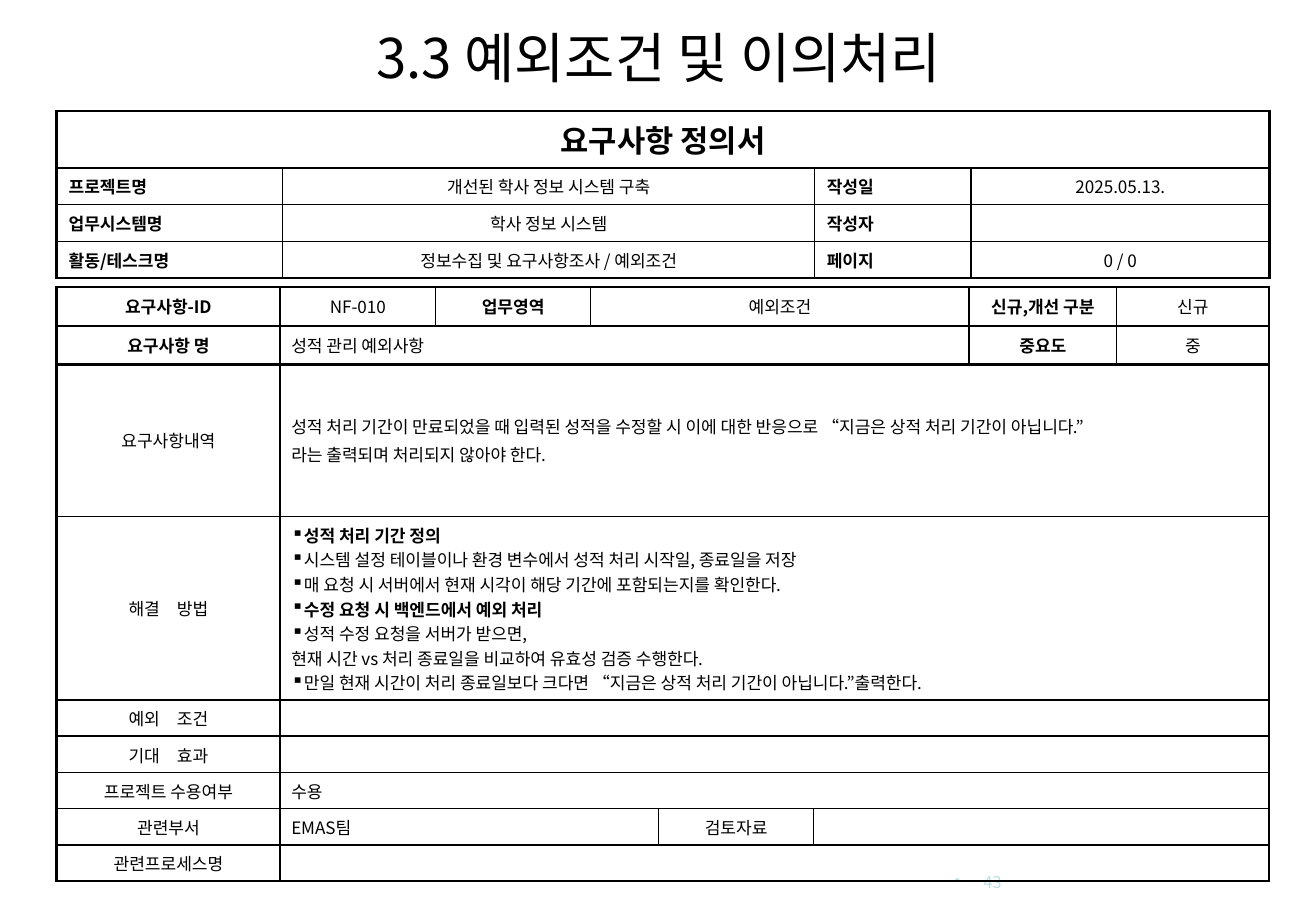
import dataclasses

import lxml.etree
import pptx
import pptx.dml.color
import pptx.enum.text
import pptx.oxml.ns
import pptx.util

Cm = pptx.util.Cm
Pt = pptx.util.Pt
ALIGN = pptx.enum.text.PP_ALIGN
MIDDLE = pptx.enum.text.MSO_ANCHOR.MIDDLE
TOP = pptx.enum.text.MSO_ANCHOR.TOP
FONT = "Noto Sans CJK KR"
BLACK = "000000"
BODY_SIZE = 10


@dataclasses.dataclass
class Entry:
    """One table cell; a list of (text, bold) pairs makes a bulleted cell."""
    text: object = ""
    span: int = 1
    bold: bool = False
    align: object = ALIGN.CENTER
    size: float = BODY_SIZE


def label(text, span=1):
    return Entry(text, span, bold=True)


def left(text, span):
    return Entry(text, span, align=ALIGN.LEFT)


def field(text):
    return Entry(text, bold=True, align=ALIGN.JUSTIFY)


def rgb(color):
    return pptx.dml.color.RGBColor.from_string(color)


def add_child(parent, tag, **attributes):
    child = lxml.etree.SubElement(parent, pptx.oxml.ns.qn(tag))
    for name, value in attributes.items():
        child.set(name, str(value))
    return child


def write(paragraph, text, *, size=BODY_SIZE, bold=False, color=BLACK,
          align=ALIGN.LEFT, before=0, bullet=None, hanging=0):
    paragraph.alignment = align
    paragraph.space_before = Pt(before)
    if bullet:
        properties = paragraph._p.get_or_add_pPr()
        properties.set("marL", str(hanging))
        properties.set("indent", str(-hanging))
        add_child(properties, "a:buChar", char=bullet)
    for index, line in enumerate(text.split("\n")):
        if index:
            paragraph.add_line_break()
        run = paragraph.add_run()
        run.text = line
        run.font.size = Pt(size)
        run.font.bold = bold
        run.font.name = FONT
        run.font.color.rgb = rgb(color)
        add_child(run._r.get_or_add_rPr(), "a:ea", typeface=FONT)


def set_borders(cell, widths):
    """Draw the left, right, top and bottom borders, widths in points."""
    properties = cell._tc.get_or_add_tcPr()
    for side, width in zip("LRTB", widths):
        line = add_child(properties, f"a:ln{side}", w=Pt(width))
        add_child(add_child(line, "a:solidFill"), "a:srgbClr", val=BLACK)


def fill_cell(cell, entry):
    frame = cell.text_frame
    if isinstance(entry.text, list):
        lines, before, bullet = entry.text, 0, "▪"
    else:
        lines = [(text, entry.bold) for text in entry.text.splitlines()]
        before, bullet = entry.size * 0.2, None
    for index, (text, bold) in enumerate(lines):
        paragraph = frame.add_paragraph() if index else frame.paragraphs[0]
        write(paragraph, text, size=entry.size, bold=bold, align=entry.align,
              before=before, bullet=bullet)


def add_grid(slide, x, y, widths, heights, rows, *, thick_rows, anchors, margin):
    """Place a table; thick_rows numbers the heavy horizontal lines."""
    shape = slide.shapes.add_table(len(heights), len(widths), Cm(x), Cm(y),
                                   Cm(sum(widths)), Cm(sum(heights)))
    table = shape.table
    table.first_row = table.horz_banding = False
    for column, width in zip(table.columns, widths):
        column.width = Cm(width)
    for row, height in zip(table.rows, heights):
        row.height = Cm(height)

    for r, entries in enumerate(rows):
        start = 0
        for entry in entries:
            end = start + entry.span
            borders = [1.5 if heavy else 1 for heavy in (
                start == 0, end == len(widths), r in thick_rows, r + 1 in thick_rows)]
            for c in range(start, end):
                cell = table.cell(r, c)
                set_borders(cell, borders)
                cell.fill.background()
                cell.vertical_anchor = anchors[r]
                cell.margin_left = cell.margin_right = Cm(margin)
                cell.margin_top = cell.margin_bottom = Cm(0.13)
                if c > start or not entry.text:
                    add_child(cell.text_frame.paragraphs[0]._p, "a:endParaRPr",
                              sz=BODY_SIZE * 100)
            cell = table.cell(r, start)
            if entry.span > 1:
                cell.merge(table.cell(r, end - 1))
            fill_cell(cell, entry)
            start = end


def add_title(slide, x, y, width, height):
    title = slide.shapes.title
    title.left, title.top, title.width, title.height = map(Cm, (x, y, width, height))
    title.text_frame.vertical_anchor = MIDDLE
    write(title.text_frame.paragraphs[0], "3.3 예외조건 및 이의처리", size=32,
          align=ALIGN.CENTER)


def add_page_number(slide, x, y, width, height):
    box = slide.shapes.add_textbox(Cm(x), Cm(y), Cm(width), Cm(height))
    box.text_frame.word_wrap = True
    box.text_frame.vertical_anchor = MIDDLE
    write(box.text_frame.paragraphs[0], "43", size=9.5, color="BBE0E3",
          align=ALIGN.RIGHT, bullet="•", hanging=Cm(0.6))


def add_document_header(slide, x, y):
    rows = [
        [Entry("요구사항 정의서", 4, bold=True, size=18)],
        [field("프로젝트명"), Entry("개선된 학사 정보 시스템 구축"),
         field("작성일"), Entry("2025.05.13.")],
        [field("업무시스템명"), Entry("학사 정보 시스템"), field("작성자"), Entry()],
        [field("활동/테스크명"), Entry("정보수집 및 요구사항조사 / 예외조건"),
         field("페이지"), Entry("0 / 0")],
    ]
    add_grid(slide, x, y, [4.67, 11, 3.23, 6.17], [1.18] + [0.76] * 3, rows,
             thick_rows={0, 4}, anchors=[MIDDLE] + [TOP] * 3, margin=0.25)


def add_requirement(slide, x, y):
    description = (
        "성적 처리 기간이 만료되었을 때 입력된 성적을 수정할 시 이에 대한 반응으로 "
        "“지금은 상적 처리 기간이 아닙니다.”\n라는 출력되며 처리되지 않아야 한다.")
    solution = [
        ("성적 처리 기간 정의", True),
        ("시스템 설정 테이블이나 환경 변수에서 성적 처리 시작일, 종료일을 저장", False),
        ("매 요청 시 서버에서 현재 시각이 해당 기간에 포함되는지를 확인한다.", False),
        ("수정 요청 시 백엔드에서 예외 처리", True),
        ("성적 수정 요청을 서버가 받으면,\n"
         "현재 시간 vs 처리 종료일을 비교하여 유효성 검증 수행한다.", False),
        ("만일 현재 시간이 처리 종료일보다 크다면 "
         "“지금은 상적 처리 기간이 아닙니다.”출력한다.", False),
    ]
    rows = [
        [label("요구사항-ID"), Entry("NF-010"), label("업무영역"), Entry("예외조건", 3),
         label("신규,개선 구분"), Entry("신규")],
        [label("요구사항 명"), left("성적 관리 예외사항", 5), label("중요도"), Entry("중")],
        [Entry("요구사항내역"), left(description, 7)],
        [Entry("해결　방법"), left(solution, 7)],
        [Entry("예외　조건"), left("", 7)],
        [Entry("기대　효과"), left("", 7)],
        [Entry("프로젝트 수용여부"), left("수용", 7)],
        [Entry("관련부서"), left("EMAS팀", 3), Entry("검토자료"), left("", 3)],
        [Entry("관련프로세스명"), left("", 7)],
    ]
    add_grid(slide, x, y, [4.62, 3.21, 3.21, 1.4, 3.21, 3.21, 3.05, 3.15],
             [0.8, 0.8, 3.14, 3.79] + [0.75] * 5, rows,
             thick_rows={0, 1, 2, 9}, anchors=[MIDDLE] * 9, margin=0.23)


def main():
    presentation = pptx.Presentation()
    presentation.slide_width = Cm(27.2)
    presentation.slide_height = Cm(19.05)
    slide = presentation.slides.add_slide(presentation.slide_layouts[5])
    add_title(slide, 5.8, 0.48, 15.64, 1.4)
    add_page_number(slide, 19.4, 17.7, 1.55, 1.07)
    add_requirement(slide, 1.17, 5.93)
    add_document_header(slide, 1.17, 2.29)
    presentation.save("out.pptx")


if __name__ == "__main__":
    main()
